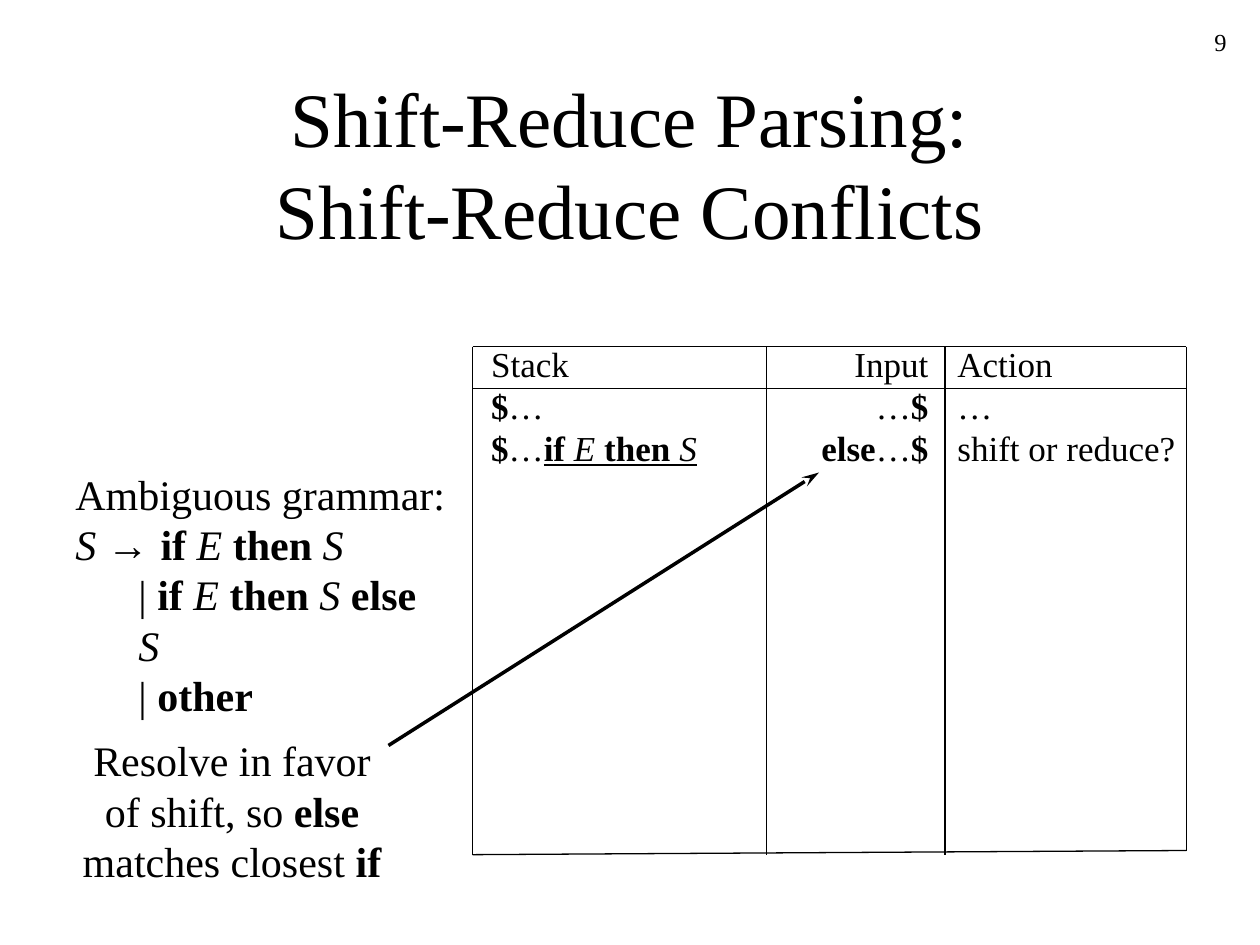
from lxml.etree import SubElement
from pptx import Presentation
from pptx.dml.color import RGBColor
from pptx.enum.shapes import MSO_CONNECTOR as Connector
from pptx.enum.text import MSO_ANCHOR as Anchor, MSO_AUTO_SIZE as AutoSize, PP_ALIGN as Align
from pptx.oxml.ns import qn
from pptx.util import Inches, Pt

COLORS = {"ink": "000000", "paper": "FFFFFF"}
CELL = 1 / 12


def grid(count):
    return Inches(count * CELL)


def write(para, text, font="Times New Roman", size=24, color="ink", style=""):
    span = para.add_run()
    span.text = text
    span.font.name = font
    span.font.size = Pt(size)
    span.font.color.rgb = RGBColor.from_string(COLORS[color])
    span.font.bold = "b" in style
    span.font.italic = "i" in style
    span.font.underline = "u" in style


class SlideBuilder:
    def __init__(self, deck, font="Times New Roman"):
        self.font = font
        self.page = deck.slides.add_slide(deck.slide_layouts[5])
        self.page.background.fill.solid()
        self.page.background.fill.fore_color.rgb = RGBColor.from_string(COLORS["paper"])

    def fill_lines(self, frame, lines, size, align, indents=()):
        for index, line in enumerate(lines):
            para = frame.paragraphs[0] if index == 0 else frame.add_paragraph()
            para.alignment = align
            if index in indents:
                para._p.get_or_add_pPr().set("marL", str(Inches(0.5)))
            for text, style, *font in line:
                write(para, text, font=font[0] if font else self.font, size=size, style=style)

    def title(self, lines, left, top, width, height):
        box = self.page.shapes.title
        box.left, box.top, box.width, box.height = map(grid, (left, top, width, height))
        frame = box.text_frame
        frame.auto_size = AutoSize.NONE
        frame.vertical_anchor = Anchor.MIDDLE
        self.fill_lines(frame, lines, 44, Align.CENTER)

    def text(self, lines, left, top, width, height, size=24, align=Align.LEFT, wrap=False, indents=()):
        box = self.page.shapes.add_textbox(*map(grid, (left, top, width, height)))
        frame = box.text_frame
        frame.word_wrap = wrap
        frame.auto_size = AutoSize.NONE if wrap else AutoSize.SHAPE_TO_FIT_TEXT
        self.fill_lines(frame, lines, size, align, indents)

    def line(self, start, end, weight=0.75, arrow=False):
        ends = map(grid, (*start, *end))
        connector = self.page.shapes.add_connector(Connector.STRAIGHT, *ends)
        connector.line.color.rgb = RGBColor.from_string(COLORS["ink"])
        connector.line.width = Pt(weight)
        if arrow:
            SubElement(connector.line._get_or_add_ln(), qn("a:tailEnd"), type="stealth", len="lg")
        SubElement(connector._element.spPr, qn("a:effectLst"))


def main():
    deck = Presentation()
    deck.slide_width, deck.slide_height = Inches(10), Inches(7.5)
    slide = SlideBuilder(deck)

    slide.text([[("9", "")]], 93, 2, 25, 6, size=14, align=Align.RIGHT, wrap=True)
    slide.title([[("Shift-Reduce Parsing:", "")], [("Shift-Reduce Conflicts", "")]], 9, 8, 102, 15)

    stack = [
        [("Stack", "")],
        [("$", "b"), ("…", "")],
        [("$", "b"), ("…", ""), ("if", "bu"), (" ", "u"), ("E", "iu"), (" ", "u"),
         ("then", "bu"), (" ", "u"), ("S", "iu")],
    ]
    remaining = [
        [("Input", "")],
        [("…", ""), ("$", "b")],
        [("else", "b"), ("…", ""), ("$", "b")],
    ]
    action = [[("Action", "")], [("…", "")], [("shift or reduce?", "")]]
    columns = [
        (stack, 45.6, 22, Align.LEFT),
        (remaining, 77, 12.6, Align.RIGHT),
        (action, 90, 23.2, Align.LEFT),
    ]
    for lines, left, width, align in columns:
        slide.text(lines, left, 32, width, 13.2, size=20, align=align)

    left, right, top, header, bottom, right_bottom = 45, 113, 33, 37, 81.4, 81
    for column in (left, 73, 90):
        slide.line((column, top), (column, bottom))
    slide.line((right, top), (right, right_bottom))
    for row in (top, header):
        slide.line((left, row), (right, row))
    slide.line((left, bottom), (right, right_bottom))

    rule = [("if ", "b"), ("E ", "i"), ("then ", "b")]
    grammar = [
        [("Ambiguous grammar:", "")],
        [("S ", "i"), ("→ ", "", "Arial"), *rule, ("S", "i")],
        [("| ", ""), *rule, ("S ", "i"), ("else ", "b"), ("S", "i")],
        [("| ", ""), ("other", "b")],
    ]
    slide.text(grammar, 6, 44, 37.8, 20.4, indents=(2, 3))

    resolution = [
        [("Resolve in favor", "")],
        [("of shift, so ", ""), ("else", "b")],
        [("matches closest ", ""), ("if", "b")],
    ]
    slide.text(resolution, 6.7, 69.4, 30.8, 15.6, align=Align.CENTER)
    slide.line((37, 71), (78, 45), weight=2, arrow=True)

    deck.save("out.pptx")


if __name__ == "__main__":
    main()
